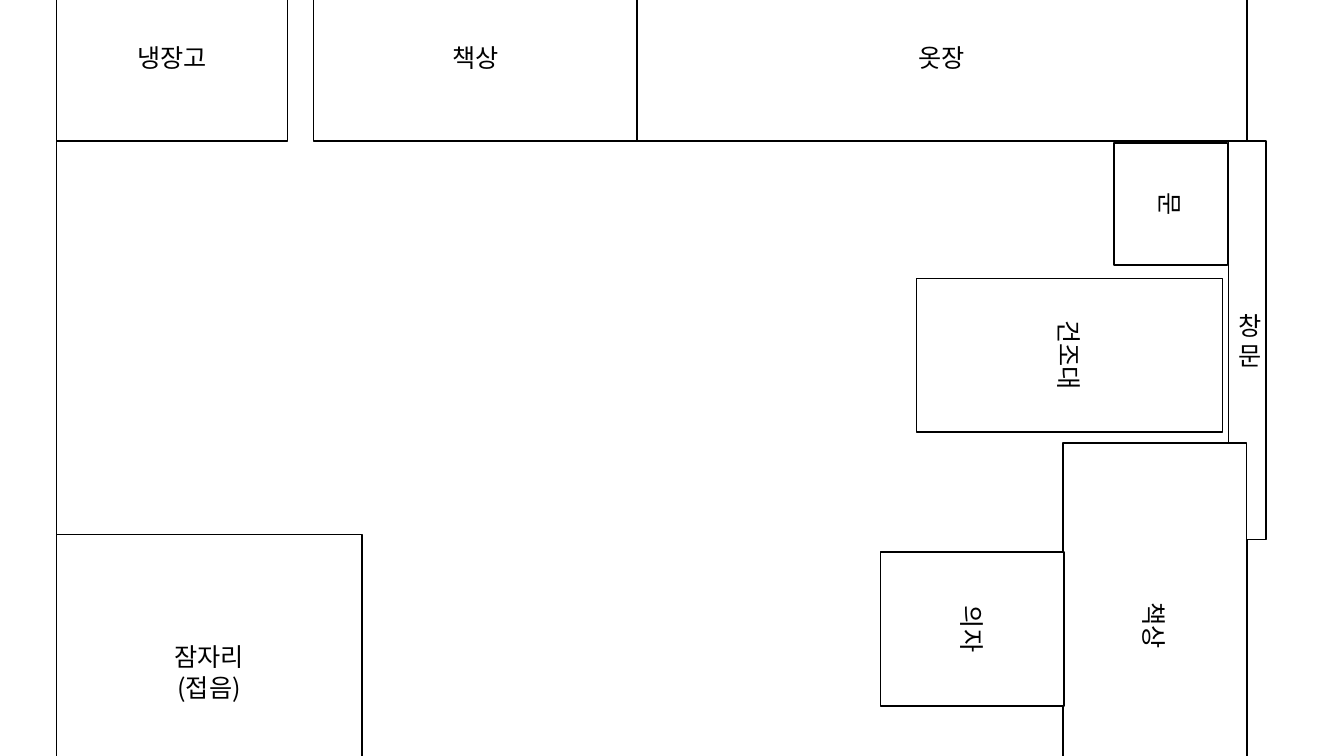
import pptx
import pptx.util
import pptx.dml.color
import pptx.enum.shapes
import pptx.enum.text

Pt = pptx.util.Pt

# Room and furniture: label lines, (left, top, width, height) as seen on the plan, rotation
ROOM_LEFT, ROOM_TOP = 40.3, -19.4
TOP_ROW_HEIGHT = 120.2
FLOOR_PLAN = [
    ([], (ROOM_LEFT, ROOM_TOP, 850.3, 599.8), 0),
    (["옷장"], (454.3, ROOM_TOP, 436.3, TOP_ROW_HEIGHT), 0),
    (["책상"], (223.9, ROOM_TOP, 231.1, TOP_ROW_HEIGHT), 0),
    (["냉장고"], (ROOM_LEFT, ROOM_TOP, 164.9, TOP_ROW_HEIGHT), 0),
    (["창문"], (877.7, ROOM_TOP + TOP_ROW_HEIGHT, 26.6, 284.4), 0),
    (["책상"], (759.3, 316.4, 131, 261.4), 90),
    (["건조대"], (654.8, 199.1, 218.2, 109.4), 90),
    (["잠자리", "(접음)"], (ROOM_LEFT, 381.6, 218.2, 196.6), 0),
    (["의자"], (628.9, 394.2, 131, 110.2), 90),
    (["문"], (795.6, 102.2, 81.4, 87.1), 90),
]

THEME = {
    "font": "Noto Sans CJK KR",
    "label_size": 18,
    "line_width": 1,
    "ink": pptx.dml.color.RGBColor(0x00, 0x00, 0x00),
    "paper": pptx.dml.color.RGBColor(0xFF, 0xFF, 0xFF),
}


def unrotated_frame(footprint, rotation):
    """A quarter turn swaps width and height around the same centre."""
    left, top, width, height = footprint
    if rotation == 90:
        shift = (width - height) / 2
        return left + shift, top - shift, height, width
    return footprint


def add_label(text_frame, lines):
    text_frame.word_wrap = True
    text_frame.vertical_anchor = pptx.enum.text.MSO_ANCHOR.MIDDLE
    for index, line in enumerate(lines):
        paragraph = text_frame.add_paragraph() if index else text_frame.paragraphs[0]
        paragraph.alignment = pptx.enum.text.PP_ALIGN.CENTER
        run = paragraph.add_run()
        run.text = line
        run.font.name = THEME["font"]
        run.font.size = Pt(THEME["label_size"])
        run.font.color.rgb = THEME["ink"]


def add_furniture(slide, lines, footprint, rotation):
    frame = [Pt(length) for length in unrotated_frame(footprint, rotation)]
    shape = slide.shapes.add_shape(pptx.enum.shapes.MSO_SHAPE.RECTANGLE, *frame)
    shape.rotation = rotation
    shape.shadow.inherit = False
    shape.fill.solid()
    shape.fill.fore_color.rgb = THEME["paper"]
    shape.line.color.rgb = THEME["ink"]
    shape.line.width = Pt(THEME["line_width"])
    add_label(shape.text_frame, lines)


def main():
    presentation = pptx.Presentation()
    presentation.slide_width, presentation.slide_height = Pt(960), Pt(540)
    slide = presentation.slides.add_slide(presentation.slide_layouts[6])

    # Furniture, from back to front
    for lines, footprint, rotation in FLOOR_PLAN:
        add_furniture(slide, lines, footprint, rotation)

    presentation.save("out.pptx")


if __name__ == "__main__":
    main()
